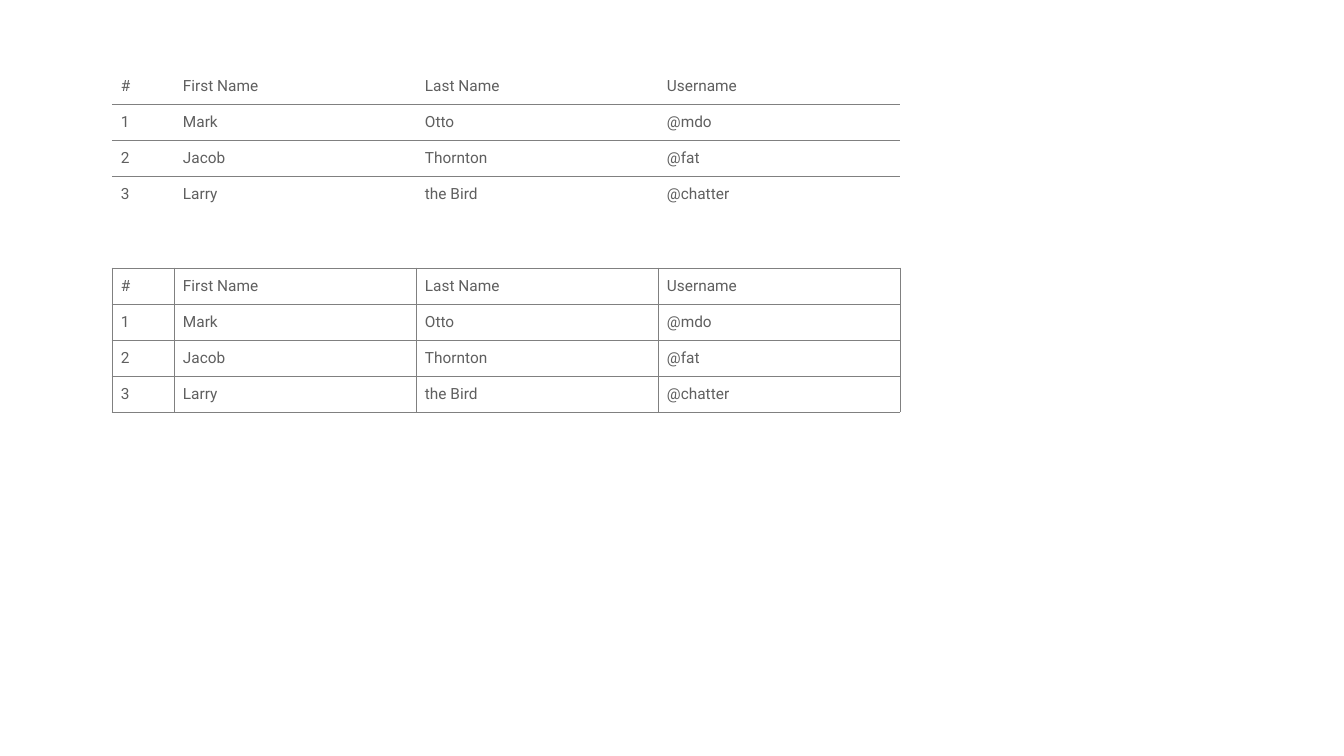
from dataclasses import dataclass

from lxml import etree
from pptx import Presentation
from pptx.dml.color import RGBColor
from pptx.enum.text import MSO_ANCHOR
from pptx.oxml.ns import qn
from pptx.util import Emu, Pt

MIDDLE = MSO_ANCHOR.MIDDLE
EMU_PER_PX = 914400 / 100.8
SLIDE_WIDTH, SLIDE_HEIGHT = 1344, 756
COLUMN_WIDTHS = (62, 242, 242, 242)
ROW_HEIGHT = 36
CELL_MARGIN = 9
PEOPLE = (
    ("#", "First Name", "Last Name", "Username"),
    ("1", "Mark", "Otto", "@mdo"),
    ("2", "Jacob", "Thornton", "@fat"),
    ("3", "Larry", "the Bird", "@chatter"),
)


@dataclass(frozen=True)
class Theme:
    """Hold the colours, font and sizes of the slide."""

    background: str = "FFFFFF"
    text: str = "5F5F5F"
    rule: str = "808080"
    font: str = "Roboto"
    text_size: float = 11
    rule_width: float = 0.5


THEME = Theme()


def px(length):
    """Turn a length in px into EMU."""
    return Emu(round(length * EMU_PER_PX))


def set_border(cell, side, visible):
    """Draw or hide one side (L, R, T or B) of a cell."""
    line = etree.SubElement(cell._tc.get_or_add_tcPr(), qn(f"a:ln{side}"))
    line.set("w", str(Pt(THEME.rule_width)))
    if visible:
        fill = etree.SubElement(line, qn("a:solidFill"))
        etree.SubElement(fill, qn("a:srgbClr")).set("val", THEME.rule)
    else:
        etree.SubElement(line, qn("a:noFill"))


def fill_cell(cell, text):
    """Write the text of a cell and set its margins."""
    cell.fill.background()
    cell.vertical_anchor = MIDDLE
    cell.margin_left = cell.margin_right = px(CELL_MARGIN)
    cell.margin_top = cell.margin_bottom = px(CELL_MARGIN)
    span = cell.text_frame.paragraphs[0].add_run()
    span.text = text
    span.font.name = THEME.font
    span.font.size = Pt(THEME.text_size)
    span.font.color.rgb = RGBColor.from_string(THEME.text)


def add_people_table(page, left, top, bordered):
    """Place the people table with a full grid or only inner row rules."""
    row_count = len(PEOPLE)
    frame = page.shapes.add_table(
        row_count, len(COLUMN_WIDTHS), px(left), px(top),
        px(sum(COLUMN_WIDTHS)), px(ROW_HEIGHT * row_count),
    )
    table = frame.table
    table.first_row = table.horz_banding = False
    for column, width in zip(table.columns, COLUMN_WIDTHS):
        column.width = px(width)
    for row_index, person in enumerate(PEOPLE):
        table.rows[row_index].height = px(ROW_HEIGHT)
        borders = {
            "L": bordered,
            "R": bordered,
            "T": bordered or row_index > 0,
            "B": bordered or row_index < row_count - 1,
        }
        for cell, text in zip(table.rows[row_index].cells, person):
            for side, visible in borders.items():
                set_border(cell, side, visible)
            fill_cell(cell, text)


def build_tables_page(deck):
    """Add the page with the ruled table above the bordered one."""
    page = deck.slides.add_slide(deck.slide_layouts[6])
    page.background.fill.solid()
    page.background.fill.fore_color.rgb = RGBColor.from_string(THEME.background)
    add_people_table(page, 112, 68, bordered=False)
    add_people_table(page, 112, 268, bordered=True)


def main():
    """Build and save the deck."""
    deck = Presentation()
    deck.slide_width = px(SLIDE_WIDTH)
    deck.slide_height = px(SLIDE_HEIGHT)
    build_tables_page(deck)
    deck.save("out.pptx")


if __name__ == "__main__":
    main()
